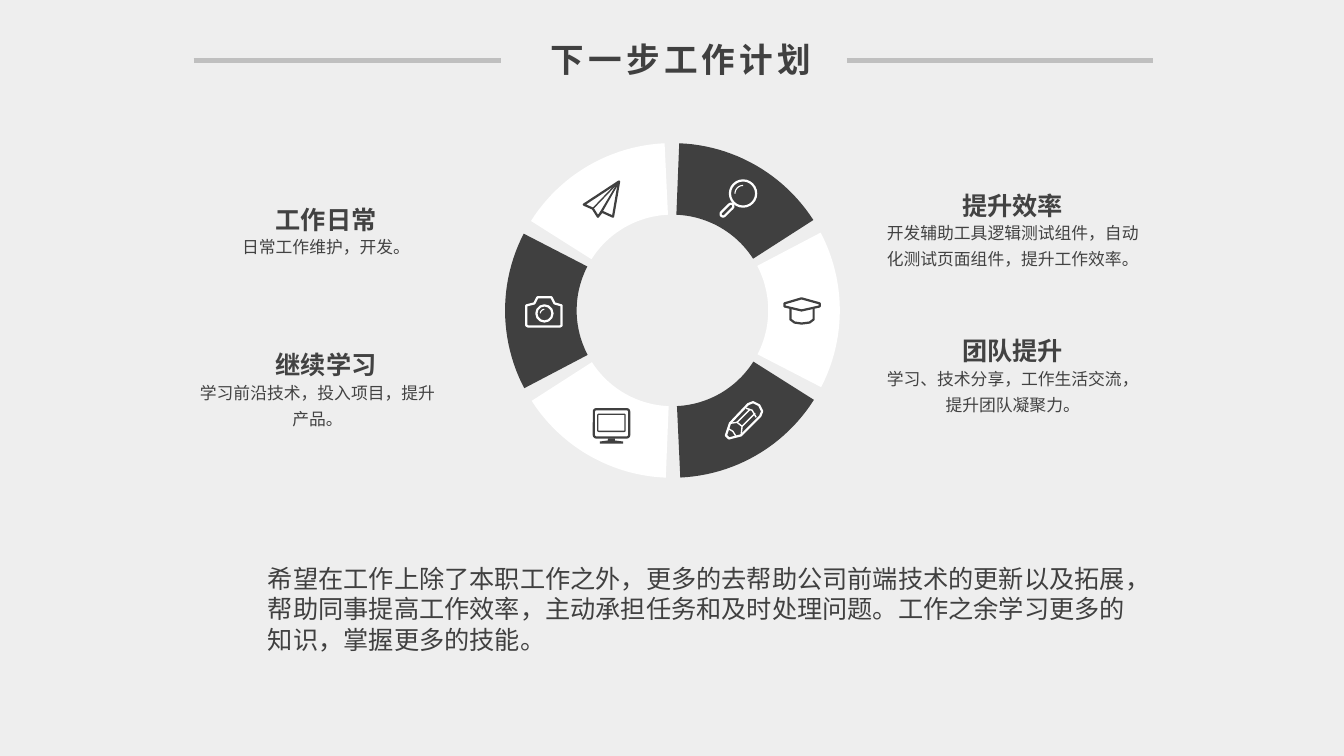
"""Builds a work plan slide with a six-part icon ring."""
import math
from lxml import etree
from pptx import Presentation
from pptx.dml.color import RGBColor
from pptx.enum import shapes, text
from pptx.oxml.ns import qn
from pptx.util import Inches, Pt

COLORS = {"back": "EEEEEE", "dark": "404040", "white": "FFFFFF", "label": "424242", "rule": "BFBFBF"}
SANS, CJK = "Arial", "Noto Sans CJK SC"
CENTER = (6.67, 3.08)
OUTER, INNER = 1.66, 0.95
OVAL, ROUND = shapes.MSO_SHAPE.OVAL, shapes.MSO_SHAPE.ROUNDED_RECTANGLE

TOPICS = [
    ("工作日常", "日常工作维护，开发。", (2.32, 1.89), (1.83, 2.24, 2.81, 0.36)),
    ("继续学习", "学习前沿技术，投入项目，提升产品。", (2.32, 3.33), (1.83, 3.69, 2.64, 0.62)),
    ("提升效率", "开发辅助工具逻辑测试组件，自动化测试页面组件，提升工作效率。",
     (9.13, 1.75), (8.64, 2.1, 2.81, 0.62)),
    ("团队提升", "学习、技术分享，工作生活交流，提升团队凝聚力。", (9.13, 3.19), (8.64, 3.55, 2.81, 0.62)),
]
SUMMARY = ("希望在工作上除了本职工作之外，更多的去帮助公司前端技术的更新以及拓展，"
           "帮助同事提高工作效率，主动承担任务和及时处理问题。工作之余学习更多的知识，掌握更多的技能。")


def color(name):
    return RGBColor.from_string(COLORS[name])


def paint(shape, fill=None, line=None, width=1.6):
    shape.shadow.inherit = False
    if fill:
        shape.fill.solid()
        shape.fill.fore_color.rgb = color(fill)
    else:
        shape.fill.background()
    if line:
        shape.line.color.rgb = color(line)
        shape.line.width = Pt(width)
    else:
        shape.line.fill.background()
    return shape


def write(box, words, size, font, shade, bold=False, align=None, spacing=None, tracking=None):
    frame = box.text_frame
    frame.word_wrap = True
    frame.auto_size = text.MSO_AUTO_SIZE.SHAPE_TO_FIT_TEXT
    frame.vertical_anchor = text.MSO_ANCHOR.TOP
    para = frame.paragraphs[0]
    para.alignment = align
    para.line_spacing = spacing
    span = para.add_run()
    span.text = words
    span.font.size, span.font.name, span.font.bold = Pt(size), font, bold
    span.font.color.rgb = color(shade)
    props = span.font._element
    if tracking:
        props.set("spc", str(tracking * 100))
    east = etree.Element(qn("a:ea"), typeface=font)
    props.find(qn("a:latin")).addnext(east)


def add_text(page, area, words, **style):
    write(page.shapes.add_textbox(*map(Inches, area)), words, **style)


def add_outline(page, points, close=False, **style):
    spots = [(Inches(x), Inches(y)) for x, y in points]
    builder = page.shapes.build_freeform(*spots[0])
    builder.add_line_segments(spots[1:], close=close)
    return paint(builder.convert_to_shape(), **style)


def add_preset(page, kind, area, turn=0, **style):
    shape = paint(page.shapes.add_shape(kind, *map(Inches, area)), **style)
    shape.rotation = turn
    return shape


def add_rule(page, left, right, level):
    rule = page.shapes.add_connector(
        shapes.MSO_CONNECTOR.STRAIGHT, Inches(left), Inches(level), Inches(right), Inches(level))
    rule.line.color.rgb = color("rule")
    rule.line.width = Pt(3)
    etree.SubElement(rule._element.spPr, qn("a:effectLst"))


def arc(center, radius, start, sweep, steps=24):
    angles = [math.radians(start + sweep * i / steps) for i in range(steps + 1)]
    return [(center[0] + radius * math.sin(a), center[1] - radius * math.cos(a)) for a in angles]


def add_ring(page):
    for index in range(6):
        start = 60 * index + 2.3
        points = arc(CENTER, OUTER, start, 55) + arc(CENTER, INNER, start + 55, -55)
        add_outline(page, points, close=True, fill="white" if index % 2 else "dark")


def add_lens(page, center, radius, glint):
    x, y = center
    add_preset(page, OVAL, (x - radius, y - radius, 2 * radius, 2 * radius), line="white")
    add_outline(page, arc(center, glint, 270, 90), line="white", width=0.8)


def add_magnifier(page):
    add_lens(page, (7.37, 1.92), 0.13, 0.08)
    handle = add_preset(page, ROUND, (7.13, 2.06, 0.16, 0.05), turn=135, line="white")
    handle.adjustments[0] = 0.5


def add_plane(page):
    nose, folds = (6.14, 1.8), [(5.88, 2.07), (5.93, 2.15), (5.97, 2.1)]
    add_outline(page, [nose, (5.79, 2.03), *folds, (6.08, 2.15)], close=True, line="dark")
    for fold in folds:
        add_outline(page, [nose, fold], line="dark", width=1)


def add_camera(page):
    body = [(5.22, 3.03), (5.3, 3.01), (5.33, 2.95), (5.47, 2.95), (5.5, 3.01), (5.57, 3.03),
            (5.57, 3.23), (5.55, 3.24), (5.24, 3.24), (5.22, 3.23)]
    add_outline(page, body, close=True, line="white")
    add_lens(page, (5.4, 3.11), 0.08, 0.04)


def add_monitor(page):
    frame = add_preset(page, ROUND, (5.89, 4.06, 0.35, 0.28), line="dark")
    frame.adjustments[0] = 0.08
    screen = add_preset(page, ROUND, (5.93, 4.11, 0.27, 0.17), line="dark", width=0.9)
    screen.adjustments[0] = 0.05
    stand = [(6.03, 4.35), (6.1, 4.35), (6.1, 4.37), (6.18, 4.38), (6.18, 4.4),
             (5.95, 4.4), (5.95, 4.38), (6.03, 4.37)]
    add_outline(page, stand, close=True, fill="dark")


def add_cap(page):
    board = [(7.78, 3.01), (7.95, 2.96), (8.13, 3.01), (8.13, 3.04), (7.95, 3.08), (7.78, 3.04)]
    bowl = [(7.84, 3.06), (7.84, 3.17), (7.88, 3.2), (7.95, 3.21), (8.03, 3.2), (8.07, 3.17), (8.07, 3.06)]
    add_outline(page, board, close=True, line="dark")
    add_outline(page, bowl, line="dark")


def add_pencil(page):
    body = [(7.2, 4.32), (7.24, 4.2), (7.42, 4.01), (7.47, 3.99), (7.53, 4.02), (7.56, 4.08),
            (7.54, 4.13), (7.35, 4.32), (7.23, 4.35)]
    add_outline(page, body, close=True, line="white")
    details = [
        [(7.24, 4.2), (7.31, 4.19), (7.36, 4.23), (7.35, 4.32)],
        [(7.31, 4.19), (7.44, 4.06)],
        [(7.36, 4.23), (7.49, 4.1)],
        [(7.4, 4.05), (7.46, 4.07), (7.5, 4.14)],
        [(7.22, 4.25), (7.27, 4.28), (7.3, 4.33)],
    ]
    for detail in details:
        add_outline(page, detail, line="white", width=1)


def main():
    deck = Presentation()
    deck.slide_width, deck.slide_height = Inches(13.33), Inches(7.5)
    page = deck.slides.add_slide(deck.slide_layouts[5])
    page.background.fill.solid()
    page.background.fill.fore_color.rgb = color("back")

    title = page.shapes.title
    title.left, title.top, title.width, title.height = map(Inches, (5.02, 0.34, 3.47, 0.5))
    center = text.PP_ALIGN.CENTER
    write(title, "下一步工作计划", size=24, font=CJK, shade="dark", bold=True, align=center, tracking=3)
    add_rule(page, 1.92, 4.97, 0.6)
    add_rule(page, 8.4, 11.44, 0.6)

    add_ring(page)
    for add_icon in (add_magnifier, add_plane, add_camera, add_monitor, add_cap, add_pencil):
        add_icon(page)

    for heading, detail, corner, area in TOPICS:
        add_text(page, (*corner, 1.83, 0.49), heading, size=18, font=SANS, shade="label",
                 bold=True, align=center, spacing=1.3)
        add_text(page, area, detail, size=12, font=CJK, shade="label", align=center, spacing=1.3)
    add_text(page, (2.56, 5.54, 8.84, 1.01), SUMMARY, size=18, font=SANS, shade="dark")
    deck.save("out.pptx")


if __name__ == "__main__":
    main()
